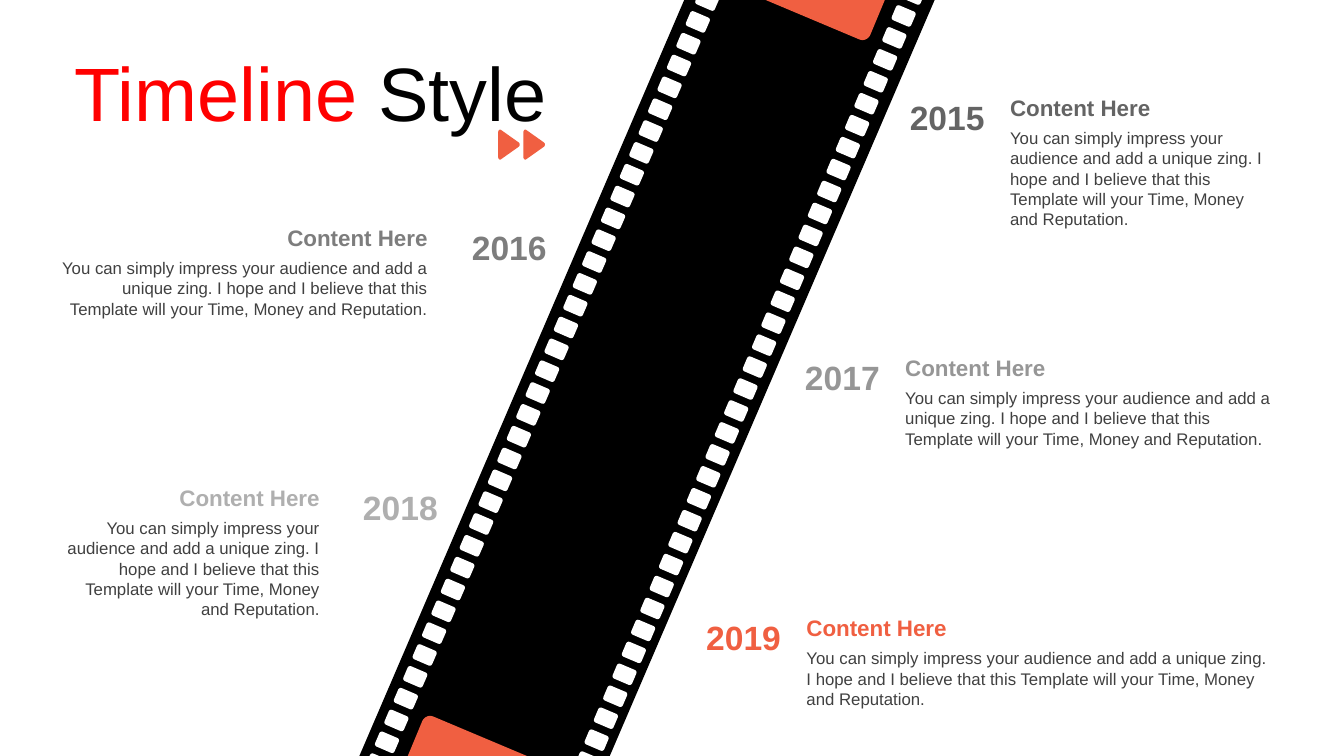
from typing import NamedTuple

from pptx import Presentation
from pptx.dml.color import RGBColor
from pptx.enum.shapes import MSO_SHAPE
from pptx.enum.text import MSO_ANCHOR, MSO_AUTO_SIZE, PP_ALIGN
from pptx.shapes.autoshape import Shape
from pptx.slide import Slide
from pptx.util import Inches, Pt

BLACK = RGBColor(0x00, 0x00, 0x00)
WHITE = RGBColor(0xFF, 0xFF, 0xFF)
RED = RGBColor(0xFF, 0x00, 0x00)
CORAL = RGBColor(0xF0, 0x5F, 0x41)
DARK = RGBColor(0x40, 0x40, 0x40)
GREYS = [RGBColor(g, g, g) for g in (0x64, 0x7D, 0x96, 0xAF)]

COPY = ("You can simply impress your audience and add a unique zing. "
        "I hope and I believe that this Template will your Time, "
        "Money and Reputation.")

YEAR = {"name": "Arial", "size": Pt(24), "bold": True}
HEAD = {"name": "Arial", "size": Pt(16), "bold": True}
BODY = {"name": "Arial", "size": Pt(12), "bold": False}
TITLE = {"name": "Arial", "size": Pt(54), "bold": False}

Point = tuple[float, float]


class Entry(NamedTuple):
    year: str
    color: RGBColor
    year_x: float
    text_x: float
    width: float
    height: float
    on_left: bool


class Holes(NamedTuple):
    top: Point
    end: Point
    angle: float


ENTRIES = [
    Entry("2015", GREYS[0], 8.76, 9.92, 2.8, 1.11, False),
    Entry("2016", GREYS[1], 4.25, 0.51, 3.83, 0.71, True),
    Entry("2017", GREYS[2], 7.72, 8.88, 3.84, 0.71, False),
    Entry("2018", GREYS[3], 3.17, 0.51, 2.76, 1.11, True),
    Entry("2019", CORAL, 6.74, 7.9, 4.81, 0.71, False),
]
FIRST_Y, STEP_Y = 0.88, 1.29

EDGES = [
    Holes((8.95, -0.14), (5.72, 7.48), 203),
    Holes((6.91, -0.08), (3.64, 7.5), 203.3),
]
HOLE_COUNT = 36

# Each step is one point for a line, or three points for a curve
FRAME = [[(7.57, -0.01)], [(8.78, -0.01)], [(8.63, 0.35)],
         [(8.61, 0.39), (8.56, 0.41), (8.52, 0.39)]]
ARROW = [[(5.14, 1.46)], [(4.97, 1.58)],
         [(4.96, 1.59), (4.94, 1.58), (4.94, 1.55)], [(4.94, 1.32)],
         [(4.94, 1.29), (4.96, 1.28), (4.97, 1.29)], [(5.14, 1.41)],
         [(5.16, 1.42), (5.16, 1.45), (5.14, 1.46)]]


def style(run, color: RGBColor, look: dict) -> None:
    for key, value in look.items():
        setattr(run.font, key, value)
    run.font.color.rgb = color


def paint(shape: Shape, color: RGBColor) -> None:
    shape.shadow.inherit = False
    shape.fill.solid()
    shape.fill.fore_color.rgb = color
    shape.line.fill.background()


def trace(steps: list[list[Point]]) -> list[Point]:
    """Turn lines and curves into a run of points."""
    dots = [steps[0][0]]
    for step in steps[1:]:
        if len(step) == 1:
            dots.append(step[0])
            continue
        curve = [dots[-1], *step]
        for n in range(1, 9):
            t = n / 8
            parts = ((1 - t) ** 3, 3 * t * (1 - t) ** 2,
                     3 * t * t * (1 - t), t ** 3)
            dots.append((sum(w * p[0] for w, p in zip(parts, curve)),
                         sum(w * p[1] for w, p in zip(parts, curve))))
    return dots


def outline(slide: Slide, dots: list[Point], color: RGBColor) -> None:
    spots = [(Inches(x), Inches(y)) for x, y in dots]
    pen = slide.shapes.build_freeform(*spots[0])
    pen.add_line_segments(spots[1:], close=True)
    paint(pen.convert_to_shape(), color)


def write(slide: Slide, box: tuple, text: str, color: RGBColor, look: dict,
          align: PP_ALIGN, anchor: MSO_ANCHOR = MSO_ANCHOR.TOP) -> None:
    frame = slide.shapes.add_textbox(*map(Inches, box)).text_frame
    frame.word_wrap = True
    frame.vertical_anchor = anchor
    line = frame.paragraphs[0]
    line.alignment = align
    run = line.add_run()
    run.text = text
    style(run, color, look)


def add_film(slide: Slide) -> None:
    film = slide.shapes.add_shape(
        MSO_SHAPE.PARALLELOGRAM, *map(Inches, (3.56, 0, 5.71, 7.51)))
    film.adjustments[0] = 0.565
    paint(film, BLACK)
    for edge in EDGES:
        for n in range(HOLE_COUNT):
            t = n / (HOLE_COUNT - 1)
            x, y = (a + (b - a) * t for a, b in zip(edge.top, edge.end))
            hole = slide.shapes.add_shape(
                MSO_SHAPE.ROUNDED_RECTANGLE, *map(Inches, (x, y, 0.21, 0.16)))
            hole.rotation = edge.angle
            paint(hole, WHITE)
    # Frames at both ends, the lower one turned by half
    dots = trace(FRAME)
    outline(slide, dots, CORAL)
    outline(slide, [(12.82 - x, 7.5 - y) for x, y in dots], CORAL)


def add_title(slide: Slide) -> None:
    title = slide.shapes.title
    spot = {"left": 0.14, "top": 0.38, "width": 5.38, "height": 1.05}
    for key, value in spot.items():
        setattr(title, key, Inches(value))
    frame = title.text_frame
    frame.auto_size = MSO_AUTO_SIZE.NONE
    frame.vertical_anchor = MSO_ANCHOR.MIDDLE
    line = frame.paragraphs[0]
    line.alignment = PP_ALIGN.RIGHT
    for text, color in (("Timeline ", RED), ("Style", BLACK)):
        run = line.add_run()
        run.text = text
        style(run, color, TITLE)


def add_entry(slide: Slide, item: Entry, top: float) -> None:
    side = PP_ALIGN.RIGHT if item.on_left else PP_ALIGN.LEFT
    mid = PP_ALIGN.RIGHT if item.on_left else PP_ALIGN.CENTER
    write(slide, (item.year_x, top + 0.03, 1.27, 0.5), item.year,
          item.color, YEAR, mid)
    write(slide, (item.text_x, top, item.width, 0.37), "Content Here",
          item.color, HEAD, side, MSO_ANCHOR.MIDDLE)
    write(slide, (item.text_x, top + 0.34, item.width, item.height), COPY,
          DARK, BODY, side)


def main() -> None:
    deck = Presentation()
    deck.slide_width, deck.slide_height = Inches(13.33), Inches(7.5)
    slide = deck.slides.add_slide(deck.slide_layouts[5])

    # Film strip
    add_film(slide)

    # Years and texts
    for n, item in enumerate(ENTRIES):
        add_entry(slide, item, FIRST_Y + n * STEP_Y)

    # Title with two arrows
    add_title(slide)
    for shift in (0.25, 0):
        outline(slide, [(x + shift, y) for x, y in trace(ARROW)], CORAL)

    deck.save("out.pptx")


if __name__ == "__main__":
    main()
